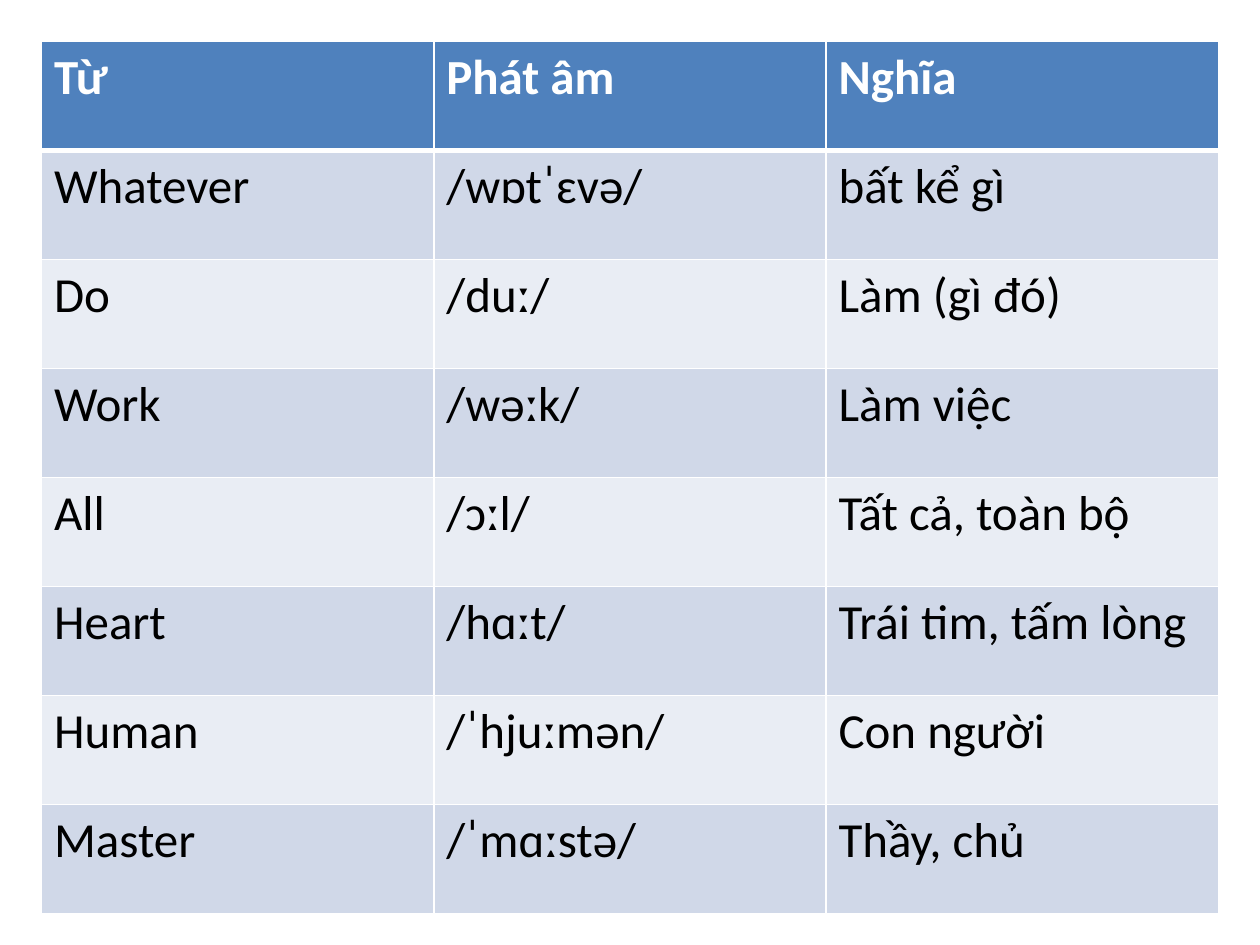
from lxml import etree
from pptx import Presentation
from pptx import util as u
from pptx.dml.color import RGBColor
from pptx.oxml import ns

WIDTH, HEIGHT = u.Inches(10), u.Inches(7.5)
MARGIN = u.Inches(0.33)
TABLE_HEIGHT = u.Inches(6.92)
HEADER_FILL, ODD_FILL, EVEN_FILL = "4F81BD", "D0D8E8", "E9EDF4"
WHITE, BLACK = "FFFFFF", "000000"

VOCABULARY = [
    ("Từ", "Phát âm", "Nghĩa"),
    ("Whatever", "/wɒtˈɛvə/", "bất kể gì"),
    ("Do", "/duː/", "Làm (gì đó)"),
    ("Work", "/wəːk/", "Làm việc"),
    ("All", "/ɔːl/", "Tất cả, toàn bộ"),
    ("Heart", "/hɑːt/", "Trái tim, tấm lòng"),
    ("Human", "/ˈhjuːmən/", "Con người"),
    ("Master", "/ˈmɑːstə/", "Thầy, chủ"),
]


def color(hex_code):
    """Turn a hex string into a colour."""
    return RGBColor.from_string(hex_code)


def add_border(cell, side, points):
    """Draw one white edge of a cell."""
    edge = etree.SubElement(cell._tc.get_or_add_tcPr(), ns.qn(f"a:ln{side}"),
                            w=str(u.Pt(points)))
    paint = etree.SubElement(edge, ns.qn("a:solidFill"))
    etree.SubElement(paint, ns.qn("a:srgbClr"), val=WHITE)


def fill_cell(cell, wording, row):
    """Write and style a cell by the row it stands in."""
    is_header = row == 0
    edges = {"L": 1, "R": 1, "T": 3 if row == 1 else 1, "B": 3 if is_header else 1}
    for side, points in edges.items():
        add_border(cell, side, points)
    cell.fill.solid()
    band = ODD_FILL if row % 2 else EVEN_FILL
    cell.fill.fore_color.rgb = color(HEADER_FILL if is_header else band)
    cell.text = wording
    font = cell.text_frame.paragraphs[0].font
    font.name, font.size, font.bold = "Calibri", u.Pt(28), is_header
    font.color.rgb = color(WHITE if is_header else BLACK)


def add_vocabulary(slide, entries):
    """Add the word table with equal columns and rows."""
    table = slide.shapes.add_table(len(entries), len(entries[0]), MARGIN, MARGIN,
                                   WIDTH - 2 * MARGIN, TABLE_HEIGHT).table
    for row, entry in enumerate(entries):
        for column, wording in enumerate(entry):
            fill_cell(table.cell(row, column), wording, row)


def main():
    """Build the vocabulary slide."""
    deck = Presentation()
    deck.slide_width, deck.slide_height = WIDTH, HEIGHT
    slide = deck.slides.add_slide(deck.slide_layouts[6])
    add_vocabulary(slide, VOCABULARY)
    deck.save("out.pptx")


main()
